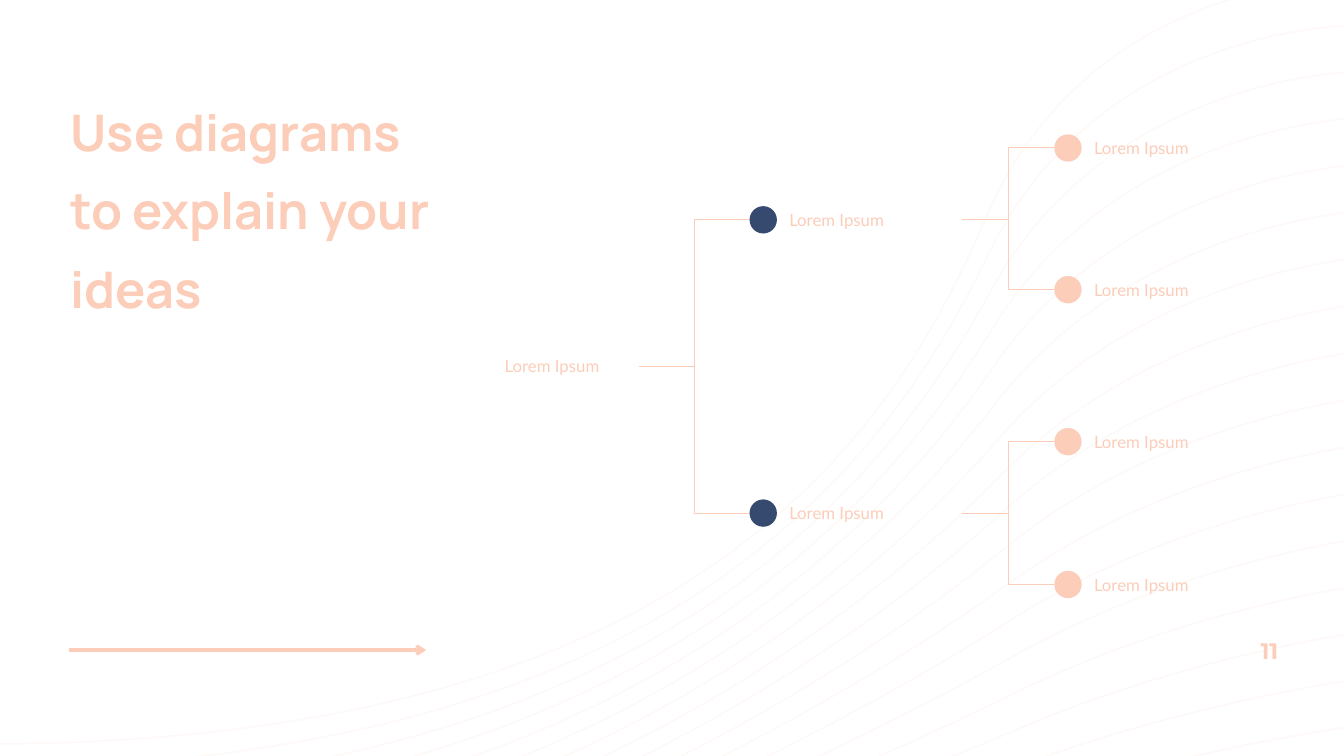
from dataclasses import dataclass

from lxml import etree
from pptx import Presentation
from pptx.dml.color import RGBColor
from pptx.enum.shapes import MSO_CONNECTOR, MSO_SHAPE
from pptx.enum.text import MSO_ANCHOR, MSO_AUTO_SIZE, PP_ALIGN
from pptx.oxml.ns import qn
from pptx.util import Cm, Pt

ELBOW, STRAIGHT = MSO_CONNECTOR.ELBOW, MSO_CONNECTOR.STRAIGHT
ROUND, OVAL = MSO_SHAPE.ROUNDED_RECTANGLE, MSO_SHAPE.OVAL
TOP, MIDDLE = MSO_ANCHOR.TOP, MSO_ANCHOR.MIDDLE
LEFT, RIGHT = PP_ALIGN.LEFT, PP_ALIGN.RIGHT
FIXED = MSO_AUTO_SIZE.NONE


@dataclass(frozen=True)
class Theme:
    """Colours, type styles and line widths."""
    peach: RGBColor = RGBColor(0xFC, 0xCD, 0xB9)
    navy: RGBColor = RGBColor(0x36, 0x4A, 0x6F)
    white: RGBColor = RGBColor(0xFF, 0xFF, 0xFF)
    title: tuple = ("Manrope", 36, True)
    label: tuple = ("Lato", 12, False)
    number: tuple = ("Montserrat", 16, True)
    wave: float = 1.1
    link: float = 0.75
    arrow: float = 2.25


THEME = Theme()
DOT, WIDE, HIGH = 0.69, 4.67, 1.27
ROOT_X, MID_X, LEAF_X = 15.42, 18.89, 26.57
ROOT_Y = 9.23
TREE = {5.54: (3.73, 7.3), 12.93: (11.13, 14.73)}
WAVES = 17
FIRST = [(34.14, -0.53), (34.14, -0.53), (27.48, -0.69), (24.84, 5.51),
         (22.2, 11.71), (16.76, 18.75), (-0.53, 18.75)]
LAST = [(35.51, 18.11), (35.51, 18.11), (30.94, 18.59), (25.81, 20.19),
        (18.26, 22.56), (7.59, 25.65), (1.42, 29.08)]
BULGE = [0, 0, 0.2, 0, 0.2, 0, 0]


def write(frame, text, style, align, anchor, inset):
    """Fill a text frame with one styled paragraph."""
    name, size, bold = style
    box = {"word_wrap": True, "auto_size": FIXED, "vertical_anchor": anchor}
    box.update({f"margin_{side}": Cm(inset)
                for side in ("left", "right", "top", "bottom")})
    for key, value in box.items():
        setattr(frame, key, value)
    frame.text = text
    para = frame.paragraphs[0]
    para.alignment = align
    for key, value in {"name": name, "size": Pt(size), "bold": bold}.items():
        setattr(para.font, key, value)
    para.font.color.rgb = THEME.peach
    return para


def stroke(shape, width):
    """Give a line its colour and width."""
    shape.line.color.rgb = THEME.peach
    shape.line.width = Pt(width)


def wave(slide, t):
    """Draw the faint curve at share t between the first and the last."""
    spots = []
    for start, end, bulge in zip(FIRST, LAST, BULGE):
        bend = 4 * t * (1 - t) * bulge
        spots.append([Cm(a + (b - a) * t + bend) for a, b in zip(start, end)])
    pen = slide.shapes.build_freeform(*spots[0])
    pen.add_line_segments(spots[1:], close=False)
    shape = pen.convert_to_shape()
    shape.shadow.inherit = False
    shape.fill.background()
    stroke(shape, THEME.wave)
    tint = shape.element.xpath(".//a:ln//a:srgbClr")[0]
    etree.SubElement(tint, qn("a:alpha")).set("val", "10000")
    track = shape.element.xpath(".//a:path")[0]
    steps = track.findall(qn("a:lnTo"))
    for i in range(0, len(steps), 3):
        curve = etree.SubElement(track, qn("a:cubicBezTo"))
        for step in steps[i:i + 3]:
            curve.append(step[0])
            track.remove(step)


def link(slide, kind, ends, width):
    """Add a connector between two points."""
    line = slide.shapes.add_connector(kind, *[Cm(v) for v in ends])
    stroke(line, width)
    etree.SubElement(line.element.spPr, qn("a:effectLst"))
    return line


def block(slide, kind, x, y, width, height):
    """Add a bare shape whose left side is at x and middle at y."""
    shape = slide.shapes.add_shape(kind, Cm(x), Cm(y - height / 2),
                                   Cm(width), Cm(height))
    shape.shadow.inherit = False
    shape.fill.background()
    shape.line.fill.background()
    return shape


def node(slide, x, y, color, align=LEFT):
    """Add a dot with its label and return the label."""
    dot = block(slide, OVAL, x, y, DOT, DOT)
    dot.fill.solid()
    dot.fill.fore_color.rgb = color
    side = x + DOT if align == LEFT else x - WIDE
    label = block(slide, ROUND, side, y, WIDE, HIGH)
    write(label.text_frame, "Lorem Ipsum", THEME.label, align, MIDDLE, 0.25)
    return label


def tree(slide):
    """Draw the root, its two branches and their leaves."""
    node(slide, ROOT_X, ROOT_Y, THEME.white, RIGHT)
    for y, leaves in TREE.items():
        link(slide, ELBOW, (ROOT_X + DOT, ROOT_Y, MID_X, y), THEME.link)
        label = node(slide, MID_X, y, THEME.navy)
        for leaf in leaves:
            ends = (MID_X + DOT + WIDE, y, LEAF_X, leaf)
            link(slide, ELBOW, ends, THEME.link).begin_connect(label, 3)
            node(slide, LEAF_X, leaf, THEME.peach)


def head(slide):
    """Place and format the title."""
    title = slide.shapes.title
    spot = {"left": 1.78, "top": 2.08, "width": 10.74, "height": 5.56}
    for key, value in spot.items():
        setattr(title, key, Cm(value))
    para = write(title.text_frame, "Use diagrams\vto explain your ideas",
                 THEME.title, LEFT, TOP, 0)
    para.line_spacing = 1.3


def foot(slide):
    """Add the arrow and the page number."""
    arrow = link(slide, STRAIGHT, (1.73, 16.38, 10.74, 16.38), THEME.arrow)
    tip = etree.SubElement(arrow.line._get_or_add_ln(), qn("a:tailEnd"))
    tip.set("type", "arrow")
    page = slide.shapes.add_textbox(Cm(30.48), Cm(15.88), Cm(1.98), Cm(1.02))
    write(page.text_frame, "11", THEME.number, RIGHT, MIDDLE, 0.25)


def main():
    """Build the slide and save it."""
    deck = Presentation()
    deck.slide_width, deck.slide_height = Cm(33.87), Cm(19.05)
    slide = deck.slides.add_slide(deck.slide_layouts[5])
    for i in range(WAVES):
        wave(slide, i / (WAVES - 1))
    head(slide)
    foot(slide)
    tree(slide)
    deck.save("out.pptx")


if __name__ == "__main__":
    main()
